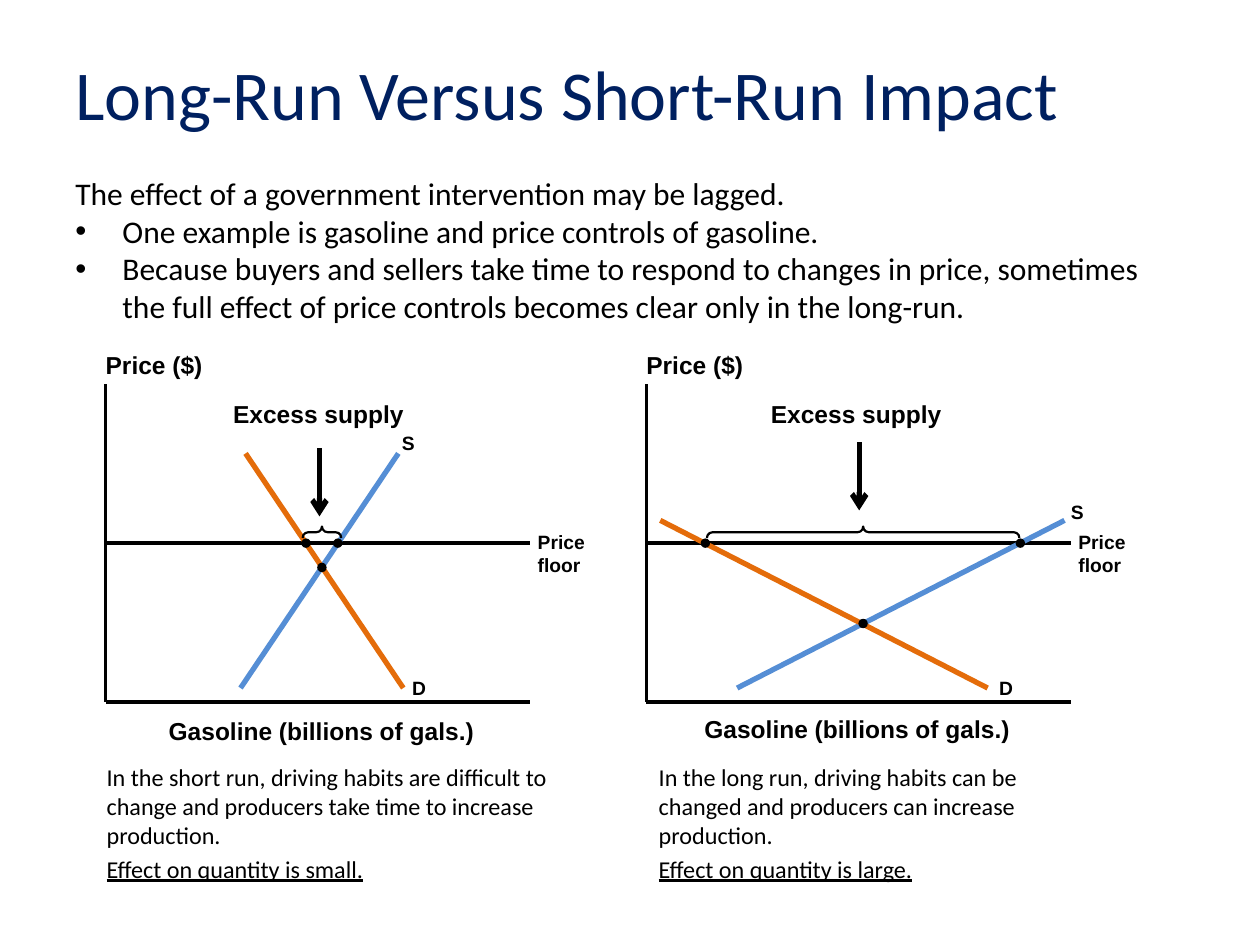
from lxml.etree import SubElement as Sub
from pptx import Presentation
from pptx.dml.color import RGBColor
from pptx.enum.shapes import MSO_CONNECTOR as Conn, MSO_SHAPE as Kind
from pptx.enum.text import MSO_ANCHOR as Anchor, MSO_AUTO_SIZE as Fit
from pptx.oxml.ns import qn
from pptx.util import Cm, Pt

BLACK, NAVY, ORANGE, BLUE = "000000", "002060", "E46C0A", "558ED5"
TOP, BASE, FLOOR, SPAN = 7.75, 14.15, 10.95, 8.56  # shared graph heights and width

SHORT = {
    "left": 2.13,
    "demand": (4.95, 9.14, 8.13, 13.87),
    "supply": (4.85, 13.87, 8.03, 9.14),
    "dots": [(6.49, 11.44), (6.81, FLOOR), (6.17, FLOOR)],
    "brace": (6.1, 6.88),
    "arrow": (6.44, 9.04),
    "excess": (4.7, 8.05),
    "axis": (3.4, 14.43),
    "D": (8.31, 13.64),
    "S": (8.1, 8.69),
    "note": (1.9, 9.98),
    "text": ["In the short run, driving habits are difficult to change and "
             "producers take time to increase production.",
             "Effect on quantity is small."],
}
LONG = {
    "left": 13.03,
    "demand": (13.31, 10.49, 19.91, 13.87),
    "supply": (14.86, 13.87, 21.46, 10.49),
    "dots": [(17.4, 12.57), (20.57, FLOOR), (14.22, FLOOR)],
    "brace": (14.25, 20.55),
    "arrow": (17.32, 8.92),
    "excess": (15.54, 8.05),
    "axis": (14.2, 14.4),
    "D": (20.14, 13.64),
    "S": (21.59, 10.08),
    "note": (13.03, 9.09),
    "text": ["In the long run, driving habits can be changed and "
             "producers can increase production.",
             "Effect on quantity is large."],
}


def color(code):
    return RGBColor.from_string(code)


def add_run(para, text, size, font="Calibri", code=BLACK):
    run = para.add_run()
    run.text = text
    run.font.size = Pt(size)
    run.font.name = font
    run.font.color.rgb = color(code)
    return run


def add_box(slide, x, y, w, h):
    frame = slide.shapes.add_textbox(Cm(x), Cm(y), Cm(w), Cm(h)).text_frame
    frame.word_wrap = True
    return frame


def add_para(frame, first):
    return frame.paragraphs[0] if first else frame.add_paragraph()


def add_label(slide, spot, size, lines, w, h, wrap=False):
    frame = add_box(slide, *spot, w, h)
    frame.word_wrap = wrap
    frame.auto_size = Fit.SHAPE_TO_FIT_TEXT
    frame.margin_left = frame.margin_right = 0
    frame.margin_top = frame.margin_bottom = 0
    for i, line in enumerate(lines):
        add_run(add_para(frame, i == 0), line, size, "Arial").font.bold = True


def add_line(slide, x1, y1, x2, y2, code=BLACK, width=0, arrow=False):
    line = slide.shapes.add_connector(
        Conn.STRAIGHT, Cm(x1), Cm(y1), Cm(x2), Cm(y2))
    line.line.color.rgb = color(code)
    line.line.width = Pt(width)
    if arrow:
        Sub(line.line._get_or_add_ln(), qn("a:tailEnd"), type="arrow")
    Sub(line._element.spPr, qn("a:effectLst"))


def add_dot(slide, x, y, size=0.19):
    dot = slide.shapes.add_shape(
        Kind.OVAL, Cm(x - size / 2), Cm(y - size / 2), Cm(size), Cm(size))
    dot.shadow.inherit = False
    dot.fill.solid()
    dot.fill.fore_color.rgb = color(BLACK)
    dot.line.fill.background()


def add_brace(slide, x1, x2, mid=10.73, depth=0.23):
    # A left brace turned to point up
    span = x2 - x1
    brace = slide.shapes.add_shape(
        Kind.LEFT_BRACE, Cm((x1 + x2 - depth) / 2), Cm(mid - span / 2),
        Cm(depth), Cm(span))
    brace.rotation = 90
    brace.adjustments[0] = 0.5
    brace.shadow.inherit = False
    brace.fill.background()
    brace.line.color.rgb = color(BLACK)
    brace.line.width = Pt(1.25)


def add_bullet(para):
    props = para._p.get_or_add_pPr()
    props.set("marL", str(Cm(0.95)))
    props.set("indent", str(-Cm(0.95)))
    Sub(props, qn("a:buFont"), typeface="Arial")
    Sub(props, qn("a:buChar"), char="•")


def add_intro(slide):
    frame = add_box(slide, 1.27, 0.76, 22.86, 2.21)
    frame.vertical_anchor = Anchor.MIDDLE
    add_run(frame.paragraphs[0], "Long-Run Versus Short-Run Impact", 40, code=NAVY)

    lines = [
        "The effect of a government intervention may be lagged.",
        "One example is gasoline and price controls of gasoline.",
        "Because buyers and sellers take time to respond to changes in price, "
        "sometimes the full effect of price controls becomes clear only in the long-run.",
    ]
    frame = add_box(slide, 1.27, 3.38, 22.86, 14.17)
    for i, line in enumerate(lines):
        para = add_para(frame, i == 0)
        add_run(para, line, 18)
        if i:
            add_bullet(para)


def add_graph(slide, g):
    left, right = g["left"], g["left"] + SPAN
    # Axes and price floor
    add_line(slide, left, BASE, left, TOP)
    for y in (BASE, FLOOR):
        add_line(slide, left, y, right, y)
    # Curves and their crossings
    add_line(slide, *g["supply"], BLUE, 3)
    add_line(slide, *g["demand"], ORANGE, 3)
    for dot in g["dots"]:
        add_dot(slide, *dot)
    # Excess supply
    add_brace(slide, *g["brace"])
    x, y = g["arrow"]
    add_line(slide, x, y, x, y + 1.37, width=3, arrow=True)
    # Labels
    add_label(slide, (left, 7.06), 14, ["Price ($)"], 1.96, 0.61)
    add_label(slide, g["excess"], 14, ["Excess supply"], 3.45, 0.61)
    add_label(slide, g["axis"], 14, ["Gasoline (billions of gals.)"], 6.17, 0.61)
    add_label(slide, (right + 0.15, 10.69), 11, ["Price", "floor"], 0.97, 0.94)
    for name in "DS":
        add_label(slide, g[name], 11, [name], 0.46, 0.53, wrap=True)


def add_note(slide, g):
    x, w = g["note"]
    frame = add_box(slide, x, 15.24, w, 2.29)
    cause, effect = g["text"]
    add_run(frame.paragraphs[0], cause, 13.8)
    para = frame.add_paragraph()
    para.space_before = Pt(2.8)
    add_run(para, effect, 13.8).font.underline = True


def main():
    prs = Presentation()
    prs.slide_width, prs.slide_height = Cm(25.4), Cm(19.05)
    slide = prs.slides.add_slide(prs.slide_layouts[6])
    add_intro(slide)
    for g in (SHORT, LONG):
        add_graph(slide, g)
        add_note(slide, g)
    prs.save("out.pptx")


if __name__ == "__main__":
    main()
